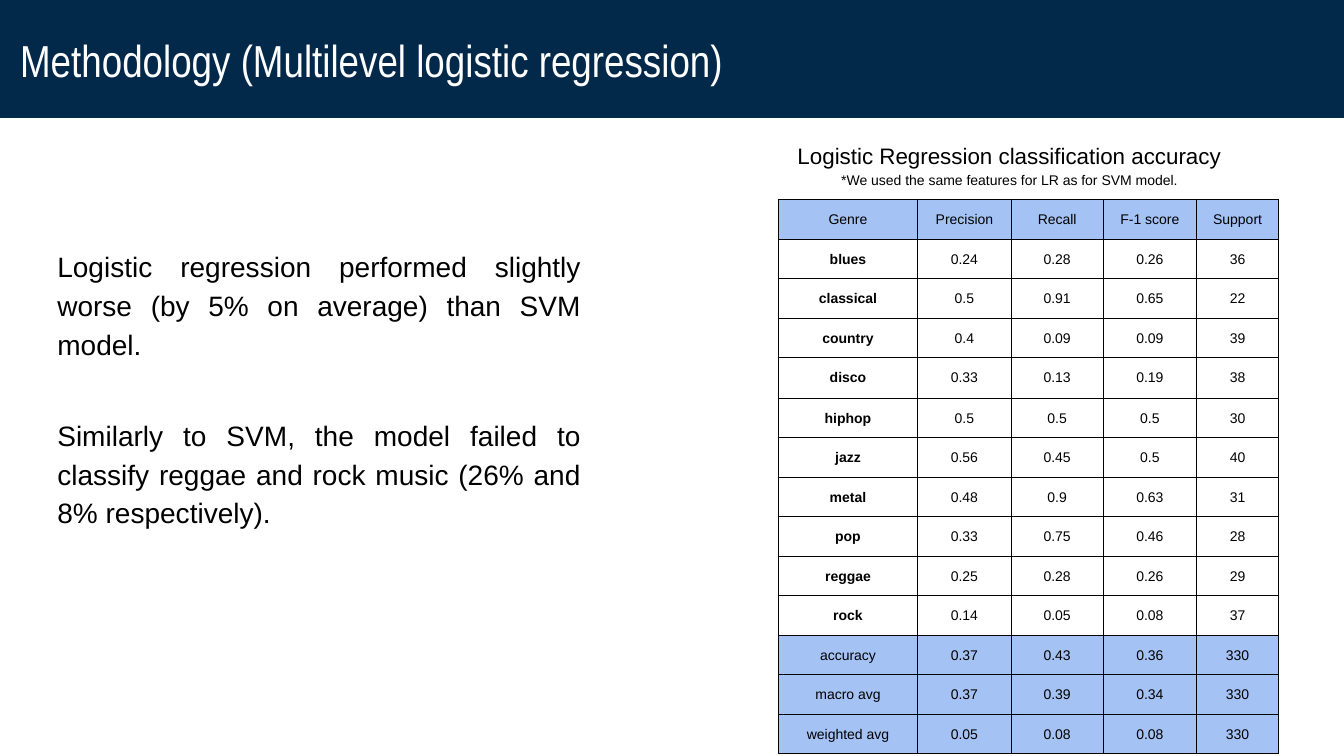
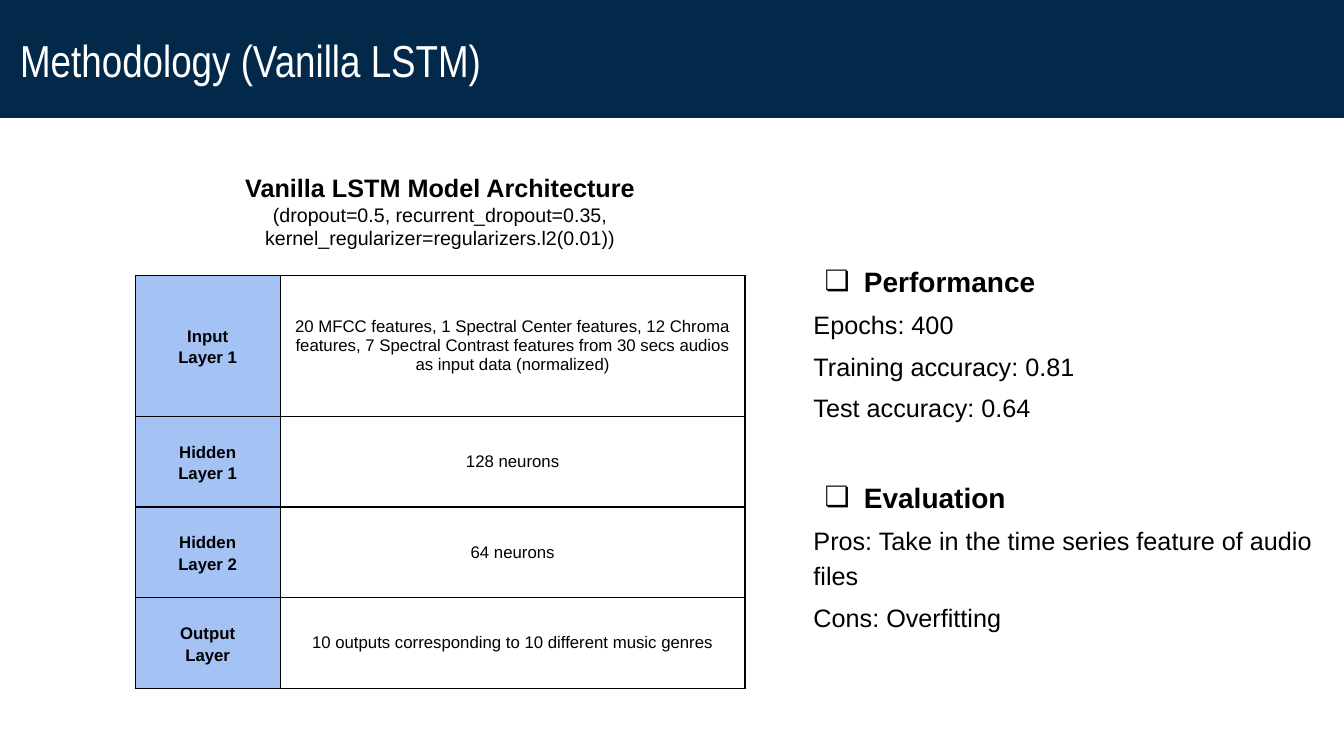
from lxml import etree
from pptx import Presentation
from pptx.dml.color import RGBColor
from pptx.enum.shapes import MSO_SHAPE
from pptx.enum.text import MSO_ANCHOR, PP_ALIGN
from pptx.oxml.ns import qn
from pptx.util import Inches, Pt

NAVY = RGBColor(0x03, 0x29, 0x4A)
SKY = RGBColor(0xA4, 0xC2, 0xF4)
WHITE = RGBColor(0xFF, 0xFF, 0xFF)
BLACK = RGBColor(0x00, 0x00, 0x00)
RECTANGLE = MSO_SHAPE.RECTANGLE
TOP, MIDDLE = MSO_ANCHOR.TOP, MSO_ANCHOR.MIDDLE
LEFT, CENTER, JUSTIFY = PP_ALIGN.LEFT, PP_ALIGN.CENTER, PP_ALIGN.JUSTIFY


def write(frame, lines, align, spacing=1.15, color=BLACK, font="Arial"):
    """Fill a text frame; each line is (text, size, bold, space before)."""
    frame.word_wrap = True
    for index, (text, size, bold, before) in enumerate(lines):
        paragraph = frame.paragraphs[0] if index == 0 else frame.add_paragraph()
        layout = {"alignment": align, "line_spacing": spacing, "space_before": Pt(before)}
        for name, value in layout.items():
            setattr(paragraph, name, value)
        run = paragraph.add_run()
        run.text = text
        run.font.color.rgb = color
        for name, value in {"name": font, "size": Pt(size), "bold": bold}.items():
            setattr(run.font, name, value)


def add_grid(slide, left, top, widths, heights, inset, anchor, border):
    """Add a plain table with black cell borders and no text."""
    table = slide.shapes.add_table(
        len(heights), len(widths), Inches(left), Inches(top),
        Inches(sum(widths)), Inches(sum(heights))).table
    table.first_row = table.horz_banding = False
    for column, width in zip(table.columns, widths):
        column.width = Inches(width)
    for row, height in zip(table.rows, heights):
        row.height = Inches(height)
    for cell in table.iter_cells():
        cell.vertical_anchor = anchor
        for side in ("left", "right", "top", "bottom"):
            setattr(cell, f"margin_{side}", Inches(inset))
        properties = cell._tc.get_or_add_tcPr()
        for edge in ("a:lnL", "a:lnR", "a:lnT", "a:lnB"):
            line = etree.SubElement(properties, qn(edge), w=str(Pt(border)))
            solid = etree.SubElement(line, qn("a:solidFill"))
            etree.SubElement(solid, qn("a:srgbClr"), val=str(BLACK))
        cell.fill.solid()
        cell.fill.fore_color.rgb = WHITE
    return table


prs = Presentation()
prs.slide_width, prs.slide_height = Inches(13.33), Inches(7.5)

# Slides with their title bands
slides = []
for title in ("Methodology (Multilevel logistic regression)", "Methodology (Vanilla LSTM)"):
    slide = prs.slides.add_slide(prs.slide_layouts[6])
    band = slide.shapes.add_shape(RECTANGLE, 0, 0, prs.slide_width, Inches(1.17))
    band.shadow.inherit = False
    band.fill.solid()
    band.fill.fore_color.rgb = NAVY
    band.line.fill.background()
    heading = band.text_frame
    heading.vertical_anchor = MIDDLE
    heading.margin_left = heading.margin_right = Inches(0.2)
    write(heading, [(title, 32, False, 0)], LEFT, 1.03, WHITE, "Arial Narrow")
    slides.append(slide)
regression_slide, lstm_slide = slides

# Text blocks: slide, position, anchor, alignment, line spacing, lines
PARAGRAPH, SECTION = 5, 37.5
BULLETED = ("Performance", "Evaluation")
text_blocks = [
    (regression_slide, (0.47, 2.33, 5.39, 3.28), TOP, JUSTIFY, 1.15, [
        ("Logistic regression performed slightly worse (by 5% on average) than SVM model.",
         20, False, PARAGRAPH),
        ("Similarly to SVM, the model failed to classify reggae and rock music "
         "(26% and 8% respectively).", 20, False, SECTION)]),
    (regression_slide, (7.35, 1.27, 5.32, 0.42), TOP, CENTER, 1.15, [
        ("Logistic Regression classification accuracy", 16, False, 0),
        ("*We used the same features for LR as for SVM model.", 10, False, 0)]),
    (lstm_slide, (1.84, 1.54, 5.05, 1.11), MIDDLE, CENTER, 1.0, [
        ("Vanilla LSTM Model Architecture", 18, True, 0),
        ("(dropout=0.5, recurrent_dropout=0.35, kernel_regularizer=regularizers.l2(0.01))",
         14, False, 0)]),
    (lstm_slide, (7.97, 2.47, 5.14, 4.36), TOP, JUSTIFY, 1.15, [
        ("Performance", 20, True, PARAGRAPH),
        ("Epochs: 400", 18, False, PARAGRAPH),
        ("Training accuracy: 0.81", 18, False, PARAGRAPH),
        ("Test accuracy: 0.64", 18, False, PARAGRAPH),
        ("Evaluation", 20, True, SECTION),
        ("Pros: Take in the time series feature of audio files", 18, False, PARAGRAPH),
        ("Cons: Overfitting", 18, False, PARAGRAPH)]),
]
for slide, position, anchor, align, spacing, lines in text_blocks:
    frame = slide.shapes.add_textbox(*map(Inches, position)).text_frame
    frame.vertical_anchor = anchor
    for side in ("left", "right", "top", "bottom"):
        setattr(frame, f"margin_{side}", Inches(0.1))
    write(frame, lines, align, spacing)
    for paragraph in frame.paragraphs:
        if paragraph.text in BULLETED:
            properties = paragraph._p.get_or_add_pPr()
            properties.set("marL", str(Inches(0.5)))
            properties.set("indent", str(Inches(-0.39)))
            bullet_color = etree.SubElement(properties, qn("a:buClr"))
            etree.SubElement(bullet_color, qn("a:srgbClr"), val=str(BLACK))
            etree.SubElement(properties, qn("a:buFont"), typeface="Arial")
            etree.SubElement(properties, qn("a:buChar"), char="❏")

# Classification scores by genre
scores = [
    ("Genre", "Precision", "Recall", "F-1 score", "Support"),
    ("blues", "0.24", "0.28", "0.26", "36"),
    ("classical", "0.5", "0.91", "0.65", "22"),
    ("country", "0.4", "0.09", "0.09", "39"),
    ("disco", "0.33", "0.13", "0.19", "38"),
    ("hiphop", "0.5", "0.5", "0.5", "30"),
    ("jazz", "0.56", "0.45", "0.5", "40"),
    ("metal", "0.48", "0.9", "0.63", "31"),
    ("pop", "0.33", "0.75", "0.46", "28"),
    ("reggae", "0.25", "0.28", "0.26", "29"),
    ("rock", "0.14", "0.05", "0.08", "37"),
    ("accuracy", "0.37", "0.43", "0.36", "330"),
    ("macro avg", "0.37", "0.39", "0.34", "330"),
    ("weighted avg", "0.05", "0.08", "0.08", "330"),
]
SUMMARY_ROWS = ("Genre", "accuracy", "macro avg", "weighted avg")
score_heights = [0.4 if row[0] == "disco" else 0.36 for row in scores]
score_table = add_grid(regression_slide, 7.72, 1.98, (1.38, 0.93, 0.91, 0.93, 0.81),
                       score_heights, 0.1, TOP, 0.5)
for r, row in enumerate(scores):
    is_summary = row[0] in SUMMARY_ROWS
    for c, value in enumerate(row):
        cell = score_table.cell(r, c)
        write(cell.text_frame, [(value, 10, c == 0 and not is_summary, 0)], CENTER)
        if is_summary:
            cell.fill.fore_color.rgb = SKY

# Network layers
layers = [
    (("Input", "Layer 1"),
     "20 MFCC features, 1 Spectral Center features, 12 Chroma features, "
     "7 Spectral Contrast features from 30 secs audios as input data (normalized)"),
    (("Hidden", "Layer 1"), "128 neurons"),
    (("Hidden", "Layer 2"), "64 neurons"),
    (("Output", "Layer"), "10 outputs corresponding to 10 different music genres"),
]
layer_table = add_grid(lstm_slide, 1.34, 2.73, (1.44, 4.61), (1.4, 0.9, 0.9, 0.9),
                       0.07, MIDDLE, 1)
for r, (layer, description) in enumerate(layers):
    layer_cell, description_cell = layer_table.cell(r, 0), layer_table.cell(r, 1)
    layer_cell.fill.fore_color.rgb = SKY
    write(layer_cell.text_frame, [(part, 12, True, 0) for part in layer], CENTER)
    write(description_cell.text_frame, [(description, 12, False, 0)], CENTER, 1.0)

prs.save("out.pptx")
